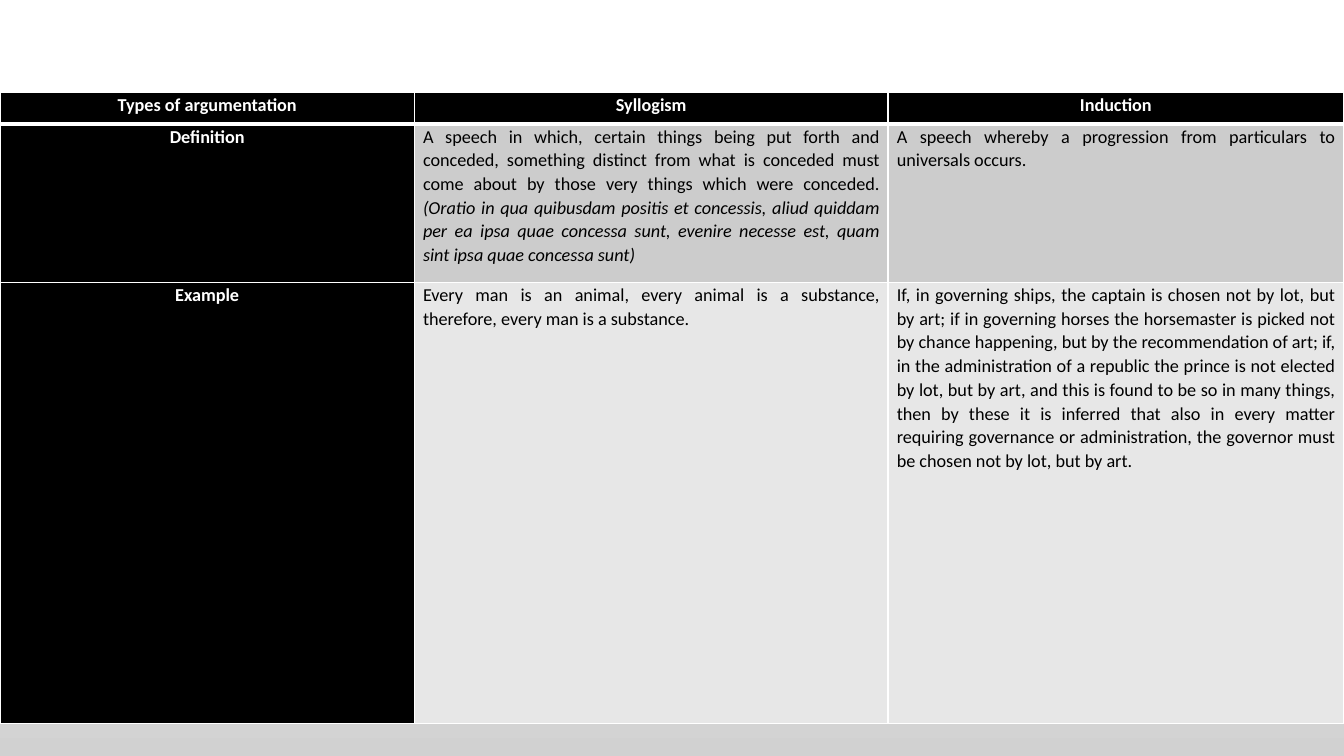
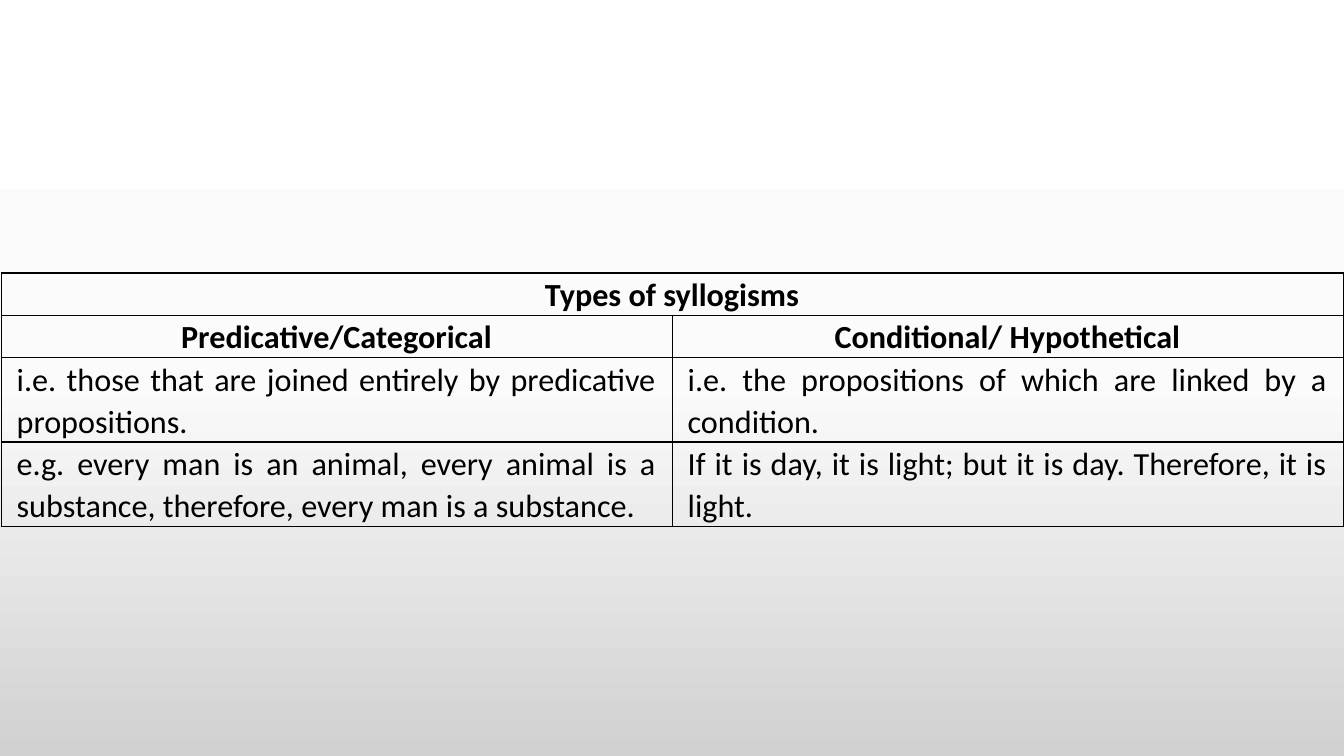
from dataclasses import dataclass, field

from lxml.etree import SubElement
from pptx import Presentation
from pptx.dml.color import RGBColor
from pptx.enum.text import PP_ALIGN
from pptx.oxml.ns import qn
from pptx.oxml.xmlchemy import OxmlElement
from pptx.util import Cm, Pt


@dataclass(frozen=True)
class Theme:
    font: str = "Calibri"
    line_spacing: float = 1.07
    small: float = 13
    large: float = 23
    white: str = "FFFFFF"
    black: str = "000000"
    dark_band: str = "CCCCCC"
    light_band: str = "E7E7E7"
    thin_line: float = 1
    thick_line: float = 3
    background: tuple = ((0, "FFFFFF"), (50, "FBFBFB"), (100, "D1D1D1"))


THEME = Theme()


@dataclass(frozen=True)
class CellStyle:
    color: str = THEME.black
    fill: str | None = None
    bold: bool = False
    alignment: PP_ALIGN = PP_ALIGN.JUSTIFY


@dataclass(frozen=True)
class CellContent:
    text: str
    style: CellStyle
    italic_ending: str = ""


@dataclass(frozen=True)
class TableDesign:
    left: float
    top: float
    column_widths: list[float]
    row_heights: list[float]
    rows: list[list[CellContent]]
    size: float
    side_margin: float
    border_color: str
    thick_below: set[int] = field(default_factory=set)


LABEL = CellStyle(THEME.white, THEME.black, True, PP_ALIGN.CENTER)
DARK = CellStyle(fill=THEME.dark_band)
LIGHT = CellStyle(fill=THEME.light_band)
HEADING = CellStyle(bold=True, alignment=PP_ALIGN.CENTER)
PLAIN = CellStyle()

ARGUMENTATION = TableDesign(
    left=0,
    top=2.34,
    column_widths=[10.44, 11.94, 11.48],
    row_heights=[0.79, 3.99, 11.12],
    size=THEME.small,
    side_margin=0.22,
    border_color=THEME.white,
    thick_below={0},
    rows=[
        [
            CellContent("Types of argumentation", LABEL),
            CellContent("Syllogism", LABEL),
            CellContent("Induction", LABEL),
        ],
        [
            CellContent("Definition", LABEL),
            CellContent(
                "A speech in which, certain things being put forth and conceded, "
                "something distinct from what is conceded must come about by those "
                "very things which were conceded. ",
                DARK,
                "(Oratio in qua quibusdam positis et concessis, aliud quiddam per ea "
                "ipsa quae concessa sunt, evenire necesse est, quam sint ipsa quae "
                "concessa sunt)",
            ),
            CellContent(
                "A speech whereby a progression from particulars to universals occurs.",
                DARK,
            ),
        ],
        [
            CellContent("Example", LABEL),
            CellContent(
                "Every man is an animal, every animal is a substance, therefore, "
                "every man is a substance.",
                LIGHT,
            ),
            CellContent(
                "If, in governing ships, the captain is chosen not by lot, but by art; "
                "if in governing horses the horsemaster is picked not by chance "
                "happening, but by the recommendation of art; if, in the "
                "administration of a republic the prince is not elected by lot, but by "
                "art, and this is found to be so in many things, then by these it is "
                "inferred that also in every matter requiring governance or "
                "administration, the governor must be chosen not by lot, but by art.",
                LIGHT,
            ),
        ],
    ],
)

SYLLOGISMS = TableDesign(
    left=0.03,
    top=6.88,
    column_widths=[16.91] * 2,
    row_heights=[1.02, 1.02, 2.04, 2.04],
    size=THEME.large,
    side_margin=0.39,
    border_color=THEME.black,
    rows=[
        [CellContent("Types of syllogisms", HEADING)],
        [
            CellContent("Predicative/Categorical", HEADING),
            CellContent("Conditional/ Hypothetical", HEADING),
        ],
        [
            CellContent(
                "i.e. those that are joined entirely by predicative propositions.",
                PLAIN,
            ),
            CellContent(
                "i.e. the propositions of which are linked by a condition.", PLAIN
            ),
        ],
        [
            CellContent(
                "e.g. every man is an animal, every animal is a substance, therefore, "
                "every man is a substance.",
                PLAIN,
            ),
            CellContent(
                "If it is day, it is light; but it is day. Therefore, it is light.",
                PLAIN,
            ),
        ],
    ],
)


def set_background(master) -> None:
    fill = master.background.fill
    fill.gradient()
    fill.gradient_angle = 270
    stops = master.element.find(".//" + qn("a:gsLst"))
    for stop in list(stops):
        stops.remove(stop)
    for position, color in THEME.background:
        stop = SubElement(stops, qn("a:gs"), pos=str(position * 1000))
        SubElement(stop, qn("a:srgbClr"), val=color)


def set_borders(cell, color: str, top: float, bottom: float) -> None:
    properties = cell._tc.get_or_add_tcPr()
    sides = {"L": THEME.thin_line, "R": THEME.thin_line, "T": top, "B": bottom}
    for index, (side, width) in enumerate(sides.items()):
        line = OxmlElement(f"a:ln{side}")
        line.set("w", str(Pt(width)))
        solid_fill = SubElement(line, qn("a:solidFill"))
        SubElement(solid_fill, qn("a:srgbClr"), val=color)
        properties.insert(index, line)


def write_cell(cell, content: CellContent, size: float) -> None:
    paragraph = cell.text_frame.paragraphs[0]
    paragraph.text = content.text
    paragraph.alignment = content.style.alignment
    paragraph.line_spacing = THEME.line_spacing
    if content.italic_ending:
        ending = paragraph.add_run()
        ending.text = content.italic_ending
        ending.font.italic = True
    for run in paragraph.runs:
        run.font.name = THEME.font
        run.font.size = Pt(size)
        run.font.bold = content.style.bold
        run.font.color.rgb = RGBColor.from_string(content.style.color)


def fill_cell(cell, color: str | None) -> None:
    if color is None:
        cell.fill.background()
    else:
        cell.fill.solid()
        cell.fill.fore_color.rgb = RGBColor.from_string(color)


def draw_table(slide, design: TableDesign) -> None:
    table = slide.shapes.add_table(
        len(design.row_heights),
        len(design.column_widths),
        Cm(design.left),
        Cm(design.top),
        Cm(sum(design.column_widths)),
        Cm(sum(design.row_heights)),
    ).table
    table.first_row = False
    table.horz_banding = False
    for column, width in zip(table.columns, design.column_widths):
        column.width = Cm(width)
    for row, height in zip(table.rows, design.row_heights):
        row.height = Cm(height)

    def line_below(row_index: int) -> float:
        thick = row_index in design.thick_below
        return THEME.thick_line if thick else THEME.thin_line

    for row_index, contents in enumerate(design.rows):
        cells = list(table.rows[row_index].cells)
        if len(contents) == 1:
            cells[0].merge(cells[-1])
        for cell in cells:
            cell.margin_left = cell.margin_right = Cm(design.side_margin)
            cell.margin_top = cell.margin_bottom = 0
            fill_cell(cell, contents[0].style.fill)
            set_borders(
                cell,
                design.border_color,
                line_below(row_index - 1),
                line_below(row_index),
            )
        for cell, content in zip(cells, contents):
            fill_cell(cell, content.style.fill)
            write_cell(cell, content, design.size)


def main() -> None:
    presentation = Presentation()
    presentation.slide_width = Cm(33.87)
    presentation.slide_height = Cm(19.05)
    set_background(presentation.slide_master)
    blank_layout = presentation.slide_layouts.get_by_name("Blank")
    for design in (ARGUMENTATION, SYLLOGISMS):
        draw_table(presentation.slides.add_slide(blank_layout), design)
    presentation.save("out.pptx")


main()
